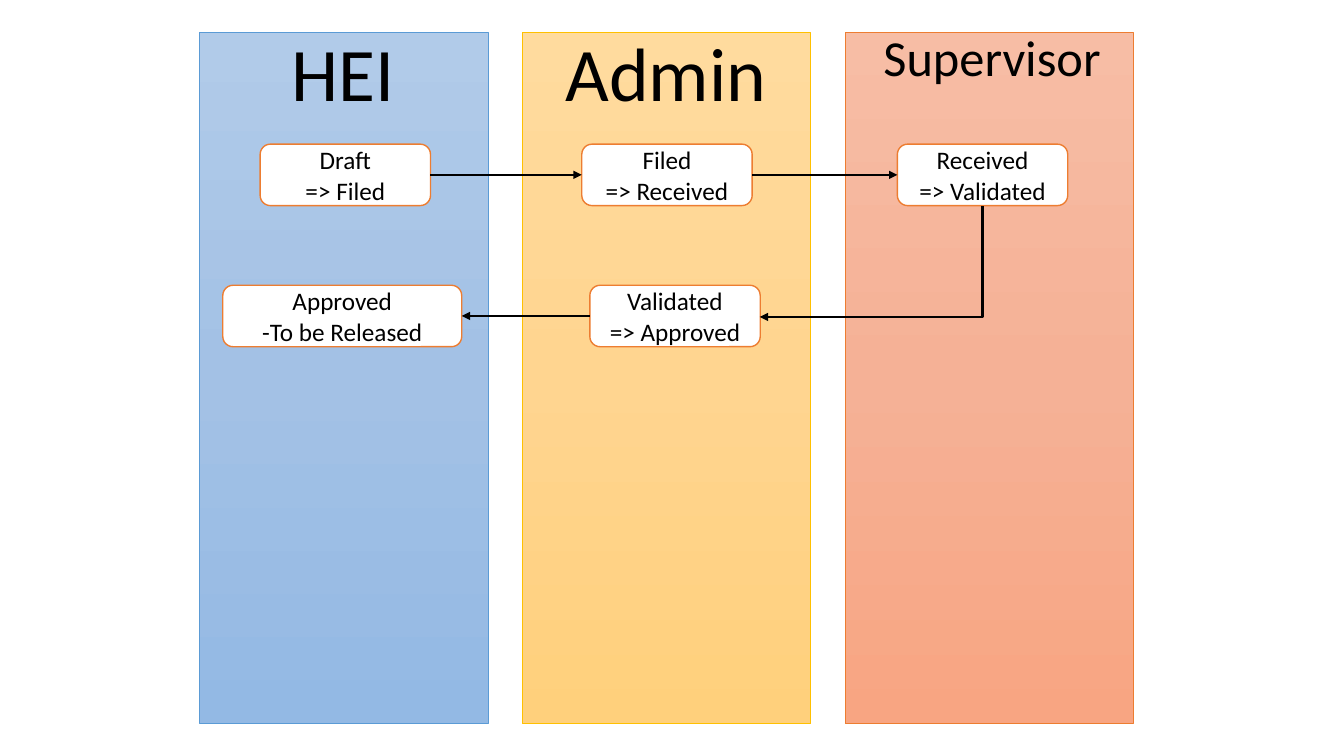
from copy import deepcopy
from lxml import etree
from pptx import Presentation
from pptx.dml.color import RGBColor
from pptx.enum.shapes import MSO_CONNECTOR, MSO_SHAPE
from pptx.enum.text import MSO_ANCHOR, MSO_AUTO_SIZE, PP_ALIGN
from pptx.oxml.ns import qn
from pptx.util import Inches, Pt

RECT, ROUND = MSO_SHAPE.RECTANGLE, MSO_SHAPE.ROUNDED_RECTANGLE
STRAIGHT, ELBOW = MSO_CONNECTOR.STRAIGHT, MSO_CONNECTOR.ELBOW
MIDDLE, CENTER = MSO_ANCHOR.MIDDLE, PP_ALIGN.CENTER
GROW = MSO_AUTO_SIZE.SHAPE_TO_FIT_TEXT
LEFT, BOTTOM, RIGHT = 1, 2, 3


def color(code):
    return RGBColor.from_string(code)


def write(frame, lines, size):
    frame.text = "\n".join(lines)
    for para in frame.paragraphs:
        para.alignment = CENTER
        look = {"name": "Calibri", "size": Pt(size)}
        for key, value in look.items():
            setattr(para.font, key, value)
        para.font.color.rgb = color("000000")


deck = Presentation()
deck.slide_width, deck.slide_height = Inches(13.33), Inches(7.5)
slide = deck.slides.add_slide(deck.slide_layouts[6])
shapes = slide.shapes

lanes = [
    (["B1CBE9", "A3C1E5", "93B9E4"], "5B9BD5"),
    (["FFDB9E", "FFD590", "FFD07C"], "FFC000"),
    (["F7BDA5", "F5B196", "F8A582"], "ED7D31"),
]
for col, (tints, edge) in enumerate(lanes):
    lane = shapes.add_shape(RECT, Inches(1.98 + 3.2 * col), Inches(0.32),
                            Inches(2.86), Inches(6.86))
    lane.shadow.inherit = False
    lane.line.color.rgb = color(edge)
    lane.line.width = Pt(0.5)
    lane.fill.gradient()
    lane.fill.gradient_angle = 270
    stop = lane._element.xpath(".//a:gs")[0]
    stop.addnext(deepcopy(stop))
    for stop, tint, place in zip(lane.fill.gradient_stops, tints, (0, 0.5, 1)):
        stop.color.rgb = color(tint)
        stop.position = place

heads = [
    ("HEI", 2.79, 1.23, 1.01, 54),
    ("Admin", 5.5, 2.21, 1.01, 54),
    ("Supervisor", 8.65, 2.38, 0.71, 36),
]
for text, left, width, height, size in heads:
    head = shapes.add_textbox(Inches(left), Inches(0.21), Inches(width), Inches(height))
    write(head.text_frame, [text], size)
    head.text_frame.word_wrap = False
    head.text_frame.auto_size = GROW

steps = [
    ("Draft", "=> Filed", 2.58, 1.43, 1.69),
    ("Filed", "=> Received", 5.77, 1.43, 1.69),
    ("Received", "=> Validated", 8.9, 1.43, 1.69),
    ("Validated", "=> Approved", 5.85, 2.83, 1.69),
    ("Approved", "-To be Released", 2.21, 2.83, 2.37),
]
boxes = []
for state, goal, left, top, width in steps:
    box = shapes.add_shape(ROUND, Inches(left), Inches(top), Inches(width), Inches(0.61))
    box.shadow.inherit = False
    box.fill.solid()
    box.fill.fore_color.rgb = color("FFFFFF")
    box.line.color.rgb = color("ED7D31")
    box.line.width = Pt(1)
    box.text_frame.word_wrap = True
    box.text_frame.vertical_anchor = MIDDLE
    write(box.text_frame, [state, goal], 18)
    boxes.append(box)

sides = [(RIGHT, LEFT), (RIGHT, LEFT), (BOTTOM, RIGHT), (LEFT, RIGHT)]
for start, end, (out, into) in zip(boxes, boxes[1:], sides):
    bent = out == BOTTOM
    arrow = shapes.add_connector(ELBOW if bent else STRAIGHT, 0, 0, 0, 0)
    arrow.begin_connect(start, out)
    arrow.end_connect(end, into)
    arrow.line.color.rgb = color("000000")
    arrow.line.width = Pt(1.5)
    props = arrow._element.spPr
    etree.SubElement(props.find(qn("a:ln")), qn("a:tailEnd"), type="triangle")
    etree.SubElement(props, qn("a:effectLst"))
    if bent:
        props.find(qn("a:prstGeom")).set("prst", "bentConnector2")
        turn = props.find(qn("a:xfrm"))
        turn.attrib.pop("flipH", None)
        turn.set("rot", "5400000")
        place = {"left": 8.09, "top": 1.49, "width": 1.1, "height": 2.21}
        for key, value in place.items():
            setattr(arrow, key, Inches(value))

deck.save("out.pptx")
